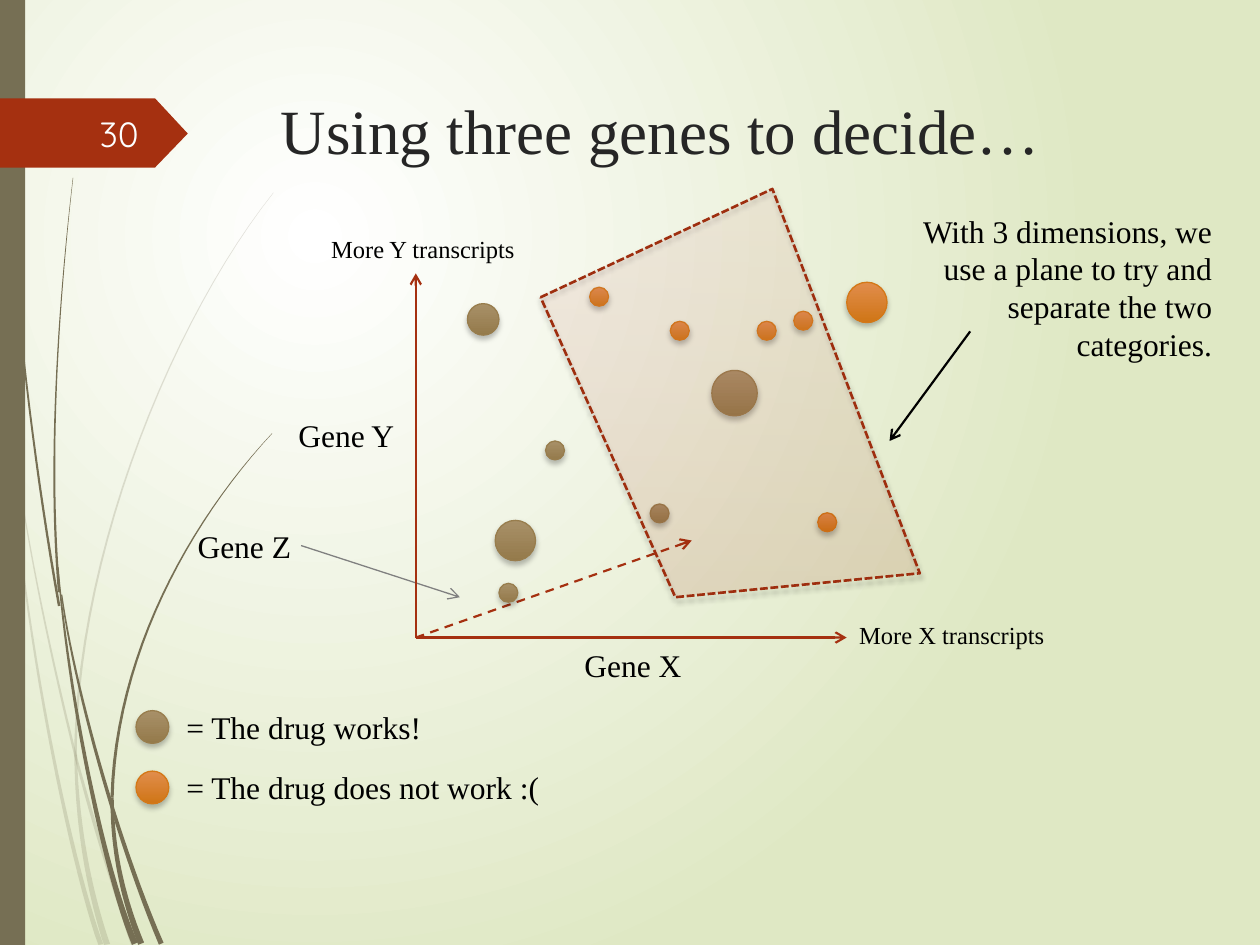
from dataclasses import dataclass
from math import hypot
from lxml.etree import SubElement
from pptx import Presentation
from pptx.dml.color import RGBColor
from pptx.enum.dml import MSO_LINE
from pptx.enum.shapes import MSO_CONNECTOR, MSO_SHAPE
from pptx.enum.text import MSO_ANCHOR, MSO_AUTO_SIZE, PP_ALIGN
from pptx.oxml.ns import qn
from pptx.util import Inches, Pt

COLUMNS, ROWS = 1000, 750


@dataclass(frozen=True)
class Theme:
    serif: str = "Times New Roman"
    sans: str = "Quicksand"
    title_size: int = 36
    number_size: int = 20
    body_size: int = 18
    caption_size: int = 14
    ink: str = "000000"
    title_ink: str = "262626"
    paper: str = "FEFFFF"
    backdrop: tuple = ("FFFFFF", "DFE8C4")
    olive: str = "766F54"
    accent: str = "A53010"
    gray: str = "808080"
    works: tuple = ("A89068", "947A4B", "987D4D")
    fails: tuple = ("E18D4C", "CF7516", "D47817")
    plane: tuple = ("B52700", "FAA09B", "9E2E0F")


def rgb(value):
    return RGBColor.from_string(value)


def write(frame, text, *, size, color, font, align=PP_ALIGN.LEFT):
    paragraph = frame.paragraphs[0]
    paragraph.alignment = align
    run = paragraph.add_run()
    run.text = text
    run.font.size = Pt(size)
    run.font.name = font
    run.font.color.rgb = rgb(color)


def blade_points(root, bend, lift, tip, widths, steps=24):
    left, right = [], []
    for step in range(steps + 1):
        t = step / steps
        u = 1 - t
        x, y = (u ** 3 * a + 3 * t * u * u * b + 3 * t * t * u * c + t ** 3 * d
                for a, b, c, d in zip(root, bend, lift, tip))
        dx, dy = (u * u * (b - a) + 2 * t * u * (c - b) + t * t * (d - c)
                  for a, b, c, d in zip(root, bend, lift, tip))
        half = (widths[0] * u + widths[1] * t) / 2 / hypot(dx, dy)
        left.append((x - dy * half, min(y + dx * half, ROWS)))
        right.append((x + dy * half, min(y - dx * half, ROWS)))
    return left + right[::-1]


class Canvas:
    def __init__(self, deck, theme):
        self.theme = theme
        self.slide = deck.slides.add_slide(deck.slide_layouts[6])
        self.cell_w = deck.slide_width / COLUMNS
        self.cell_h = deck.slide_height / ROWS

    def at(self, x, y):
        return round(x * self.cell_w), round(y * self.cell_h)

    def gradient(self, fill, colors, angle):
        fill.gradient()
        fill.gradient_angle = angle
        for stop, color in zip(fill.gradient_stops, colors):
            stop.color.rgb = rgb(color)

    def fade(self, shape, percent):
        for color in shape._element.spPr.findall(".//" + qn("a:srgbClr")):
            SubElement(color, qn("a:alpha"), val=str(percent * 1000))

    def backdrop(self):
        self.gradient(self.slide.background.fill, self.theme.backdrop, 0)
        linear = self.slide._element.find(".//" + qn("a:lin"))
        parent = linear.getparent()
        parent.remove(linear)
        radial = SubElement(parent, qn("a:path"))
        radial.set("path", "circle")
        SubElement(radial, qn("a:fillToRect"), l="50000", t="50000", r="100000", b="100000")

    def flat(self, shape, color):
        shape.shadow.inherit = False
        shape.fill.solid()
        shape.fill.fore_color.rgb = rgb(color)
        shape.line.fill.background()
        return shape

    def raised(self, shape, colors, angle, width, opacity=100, dash=None):
        shape.shadow.inherit = False
        self.gradient(shape.fill, colors[:2], angle)
        if opacity < 100:
            self.fade(shape, opacity)
        shape.line.color.rgb = rgb(colors[2])
        shape.line.width = Pt(width)
        if dash:
            shape.line.dash_style = dash
        effects = shape._element.spPr.find(qn("a:effectLst"))
        shadow = SubElement(effects, qn("a:outerShdw"), blurRad=str(Pt(3)), dist=str(Pt(2)),
                            dir="5400000", rotWithShape="0")
        SubElement(SubElement(shadow, qn("a:srgbClr"), val=self.theme.ink),
                   qn("a:alpha"), val="25000")

    def outline(self, points):
        start, *rest = [self.at(*point) for point in points]
        builder = self.slide.shapes.build_freeform(*start)
        builder.add_line_segments(rest, close=True)
        return builder.convert_to_shape()

    def bar(self, x, y, w, h, color):
        self.flat(self.slide.shapes.add_shape(
            MSO_SHAPE.RECTANGLE, *self.at(x, y), *self.at(w, h)), color)

    def dot(self, x, y, size, colors):
        self.raised(self.slide.shapes.add_shape(
            MSO_SHAPE.OVAL, *self.at(x, y), *self.at(size, size)), colors, 270, 0.75)

    def arrow(self, start, end, color, width=1.25, dash=None):
        line = self.slide.shapes.add_connector(
            MSO_CONNECTOR.STRAIGHT, *self.at(*start), *self.at(*end))
        line.line.color.rgb = rgb(color)
        line.line.width = Pt(width)
        if dash:
            line.line.dash_style = dash
        properties = line._element.spPr
        SubElement(properties.find(qn("a:ln")), qn("a:tailEnd"), type="arrow")
        SubElement(properties, qn("a:effectLst"))

    def text(self, x, y, w, h, words, wrap=False, anchor=MSO_ANCHOR.TOP, **style):
        frame = self.slide.shapes.add_textbox(*self.at(x, y), *self.at(w, h)).text_frame
        frame.word_wrap = wrap
        frame.auto_size = MSO_AUTO_SIZE.NONE if wrap else MSO_AUTO_SIZE.SHAPE_TO_FIT_TEXT
        frame.vertical_anchor = anchor
        defaults = dict(size=self.theme.body_size, color=self.theme.ink, font=self.theme.serif)
        write(frame, words, **{**defaults, **style})


PALE_GRASS = (
    ((10, 345), (20, 425), (40, 520), (60, 600), (0.5, 2)),
    ((60, 600), (73, 650), (90, 703), (106, 750), (2, 4)),
    ((8, 350), (18, 500), (55, 680), (80, 750), (0.5, 4)),
    ((217, 153), (140, 250), (64, 430), (60, 590), (0.3, 2)),
    ((60, 590), (60, 650), (70, 705), (85, 750), (2, 5)),
)
DARK_GRASS = (
    ((2, 0), (3, 160), (20, 330), (47, 481), (0.5, 2)),
    ((49, 472), (58, 540), (92, 665), (128, 749), (1, 4)),
    ((46, 450), (54, 550), (82, 690), (107, 749), (1, 5)),
    ((58, 141), (46, 245), (38, 370), (47, 470), (0.3, 2)),
    ((216, 344), (150, 415), (92, 520), (89, 633), (0.3, 2.5)),
    ((89, 633), (89, 680), (100, 719), (112, 749), (2.5, 5)),
)
NUMBER_TAG = ((149, 106), (123, 133), (0, 133), (0, 78), (123, 78))
PLANE = ((429, 236), (613, 150), (730, 455), (536, 474))
FAILS_BEHIND = ((630, 247), (601, 255), (532, 255), (649, 407), (468, 228))
WORKS = ((371, 241, 25), (396, 463, 15), (393, 413, 32), (433, 350, 15), (516, 400, 15), (565, 294, 36))
ORIGIN, X_TIP, Y_TIP, Z_TIP = (330, 506), (672, 506), (330, 217), (549, 429)


def main():
    deck = Presentation()
    deck.slide_width, deck.slide_height = Inches(10), Inches(7.5)
    theme = Theme()
    canvas = Canvas(deck, theme)

    canvas.backdrop()
    for blades, opacity in ((PALE_GRASS, 20), (DARK_GRASS, 100)):
        for blade in blades:
            canvas.fade(canvas.flat(canvas.outline(blade_points(*blade)), theme.olive), opacity)
    canvas.bar(0, 0, 20, ROWS, theme.olive)
    canvas.flat(canvas.outline(NUMBER_TAG), theme.accent)

    for x, y in FAILS_BEHIND:
        canvas.dot(x, y, 15, theme.fails)
    canvas.arrow((239, 433), (365, 474), theme.gray, width=0.75)
    canvas.text(213, 68, 721, 140, "Using three genes to decide…", wrap=True,
                size=theme.title_size, color=theme.title_ink)
    for tip, dash in ((Y_TIP, None), (X_TIP, None), (Z_TIP, MSO_LINE.DASH)):
        canvas.arrow(ORIGIN, tip, theme.accent, dash=dash)
    for axis, x, y in (("X", 672, 487), ("Y", 253, 181)):
        canvas.text(x, y, 170, 34, f"More {axis} transcripts", size=theme.caption_size)
    for gene, x, y in (("Y", 227, 325), ("X", 454, 508), ("Z", 147, 413)):
        canvas.text(x, y, 97, 40, f"Gene {gene}")
    for x, y, size in WORKS:
        canvas.dot(x, y, size, theme.works)
    canvas.dot(672, 224, 32, theme.fails)

    legend = ((theme.works, 209, "= The drug works!"), (theme.fails, 302, "= The drug does not work :("))
    for row, (colors, width, meaning) in enumerate(legend):
        y = 564 + 48 * row
        canvas.dot(108, y, 26, colors)
        canvas.text(138, y - 7, width, 40, meaning)

    canvas.raised(canvas.outline(PLANE), theme.plane, 90, 1.5, opacity=9, dash=MSO_LINE.SQUARE_DOT)
    canvas.text(706, 163, 266, 131, wrap=True, align=PP_ALIGN.RIGHT,
                words="With 3 dimensions, we use a plane to try and separate the two categories.")
    canvas.arrow((770, 263), (706, 350), theme.ink)
    canvas.text(56, 86, 64, 40, "30", wrap=True, anchor=MSO_ANCHOR.MIDDLE, align=PP_ALIGN.RIGHT,
                size=theme.number_size, color=theme.paper, font=theme.sans)
    deck.save("out.pptx")


if __name__ == "__main__":
    main()
